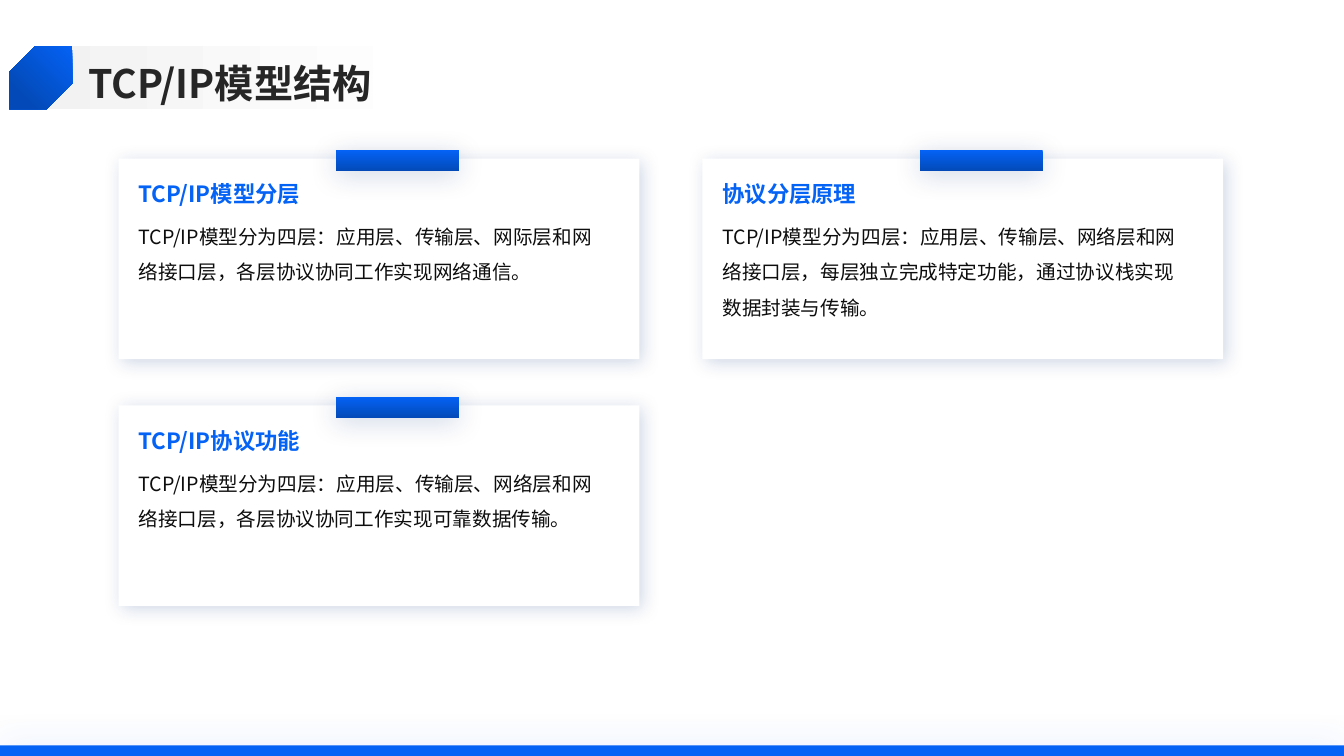
from pptx import Presentation
from pptx.dml.color import RGBColor
from pptx.enum.shapes import MSO_SHAPE as SHAPE
from pptx.enum.text import MSO_ANCHOR as ANCHOR
from pptx.oxml import parse_xml
from pptx.oxml.ns import nsdecls, qn
from pptx.util import Emu, Pt

PX = 9525  # EMU per px, 96 px to the inch
FONT = "Noto Sans CJK SC"
COLORS = {
    "blue": "0462F5", "deep": "034AB8", "shade": "02317B", "white": "FFFFFF",
    "mist": "F2F2F2", "title": "262626", "body": "0D0D0D",
}
CARDS = [  # column, row, heading, body
    (0, 0, "TCP/IP模型分层",
     "TCP/IP模型分为四层：应用层、传输层、网际层和网络接口层，各层协议协同工作实现网络通信。"),
    (0, 1, "TCP/IP协议功能",
     "TCP/IP模型分为四层：应用层、传输层、网络层和网络接口层，各层协议协同工作实现可靠数据传输。"),
    (1, 0, "协议分层原理",
     "TCP/IP模型分为四层：应用层、传输层、网络层和网络接口层，每层独立完成特定功能，通过协议栈实现数据封装与传输。"),
]


def rgb(name):
    return RGBColor.from_string(COLORS[name])


def px(*lengths):
    return [Emu(n * PX) for n in lengths]


def add_block(s, box, fill=None, kind=SHAPE.RECTANGLE):
    sp = s.shapes.add_shape(kind, *px(*box))
    sp.shadow.inherit = False
    sp.line.fill.background()
    if fill:
        sp.fill.solid()
        sp.fill.fore_color.rgb = rgb(fill)
    return sp


def set_gradient(sp, start, end, end_pos, angle):
    sp.fill.gradient()
    sp.fill.gradient_angle = 360 - angle  # clockwise to counter-clockwise
    for stop, name, pos in zip(sp.fill.gradient_stops, (start, end), (0, end_pos)):
        stop.color.rgb = rgb(name)
        stop.position = pos


def set_shadow(sp, color, alpha, blur, dist, angle):
    effects = sp._element.spPr.find(qn("a:effectLst"))
    effects.append(parse_xml(
        f'<a:outerShdw {nsdecls("a")} blurRad="{Pt(blur)}" dist="{Pt(dist)}" '
        f'dir="{angle * 60000}" algn="ctr" rotWithShape="0">'
        f'<a:srgbClr val="{COLORS[color]}"><a:alpha val="{alpha * 1000}"/></a:srgbClr>'
        '</a:outerShdw>'))


def add_text(s, box, text, size, color, bold=False, spacing=None, anchor=ANCHOR.TOP):
    tf = s.shapes.add_textbox(*px(*box)).text_frame
    tf.word_wrap = True
    tf.vertical_anchor = anchor
    tf.margin_left = tf.margin_top = tf.margin_right = tf.margin_bottom = 0
    p = tf.paragraphs[0]
    if spacing:
        p.line_spacing = spacing
    r = p.add_run()
    r.text = text
    r.font.name, r.font.size, r.font.bold = FONT, Pt(size), bold
    r.font.color.rgb = rgb(color)
    ea = parse_xml(f'<a:ea {nsdecls("a")} typeface="{FONT}"/>')
    r.font._element.find(qn("a:latin")).addnext(ea)


def add_footer(s, x, y, w, h):
    set_shadow(add_block(s, (x, y, w, h), "blue"), "blue", 20, 25, 0, 0)


def add_card(s, x, y, w, h, heading, body):
    # Panel
    set_shadow(add_block(s, (x, y, w, h), "white"), "shade", 19, 13, 3, 45)
    # Tab over the top edge
    tab = add_block(s, (x + 207, y - 8, 117, 20))
    set_gradient(tab, "blue", "deep", 1, 90)
    set_shadow(tab, "shade", 19, 20, 3, 90)
    # Heading and body
    add_text(s, (x + 19, y + 21, w - 58, 35), heading, 16, "blue", bold=True)
    add_text(s, (x + 19, y + 52, w - 58, 127), body, 14, "body", spacing=1.5)


def add_cards(s, x, y, w, h, gap_x, gap_y):
    for col, row, heading, body in CARDS:
        add_card(s, x + col * (w + gap_x), y + row * (h + gap_y), w, h, heading, body)


def add_header(s, x, y, w, h):
    # Fading band
    band = add_block(s, (x + 23, y, 472, h))
    set_gradient(band, "mist", "white", 0.8, 0)
    # Title
    add_text(s, (x + 75, y + 8, w - 75, 49), "TCP/IP模型结构", 28, "title",
             bold=True, spacing=1.1, anchor=ANCHOR.MIDDLE)
    # Badge with snipped corners
    badge = add_block(s, (x, y, h, h), kind=SHAPE.SNIP_2_DIAG_RECTANGLE)
    badge.adjustments[0], badge.adjustments[1] = 0, 0.408
    badge._element.spPr.xfrm.set("flipH", "1")
    set_gradient(badge, "blue", "deep", 0.8, 45)


def main():
    prs = Presentation()
    prs.slide_width, prs.slide_height = px(1280, 720)
    s = prs.slides.add_slide(prs.slide_layouts[6])
    add_footer(s, 0, 710, 1280, 10)
    add_cards(s, 113, 151, 496, 191, gap_x=60, gap_y=44)
    add_header(s, 9, 44, 1216, 60)
    prs.save("out.pptx")


if __name__ == "__main__":
    main()
